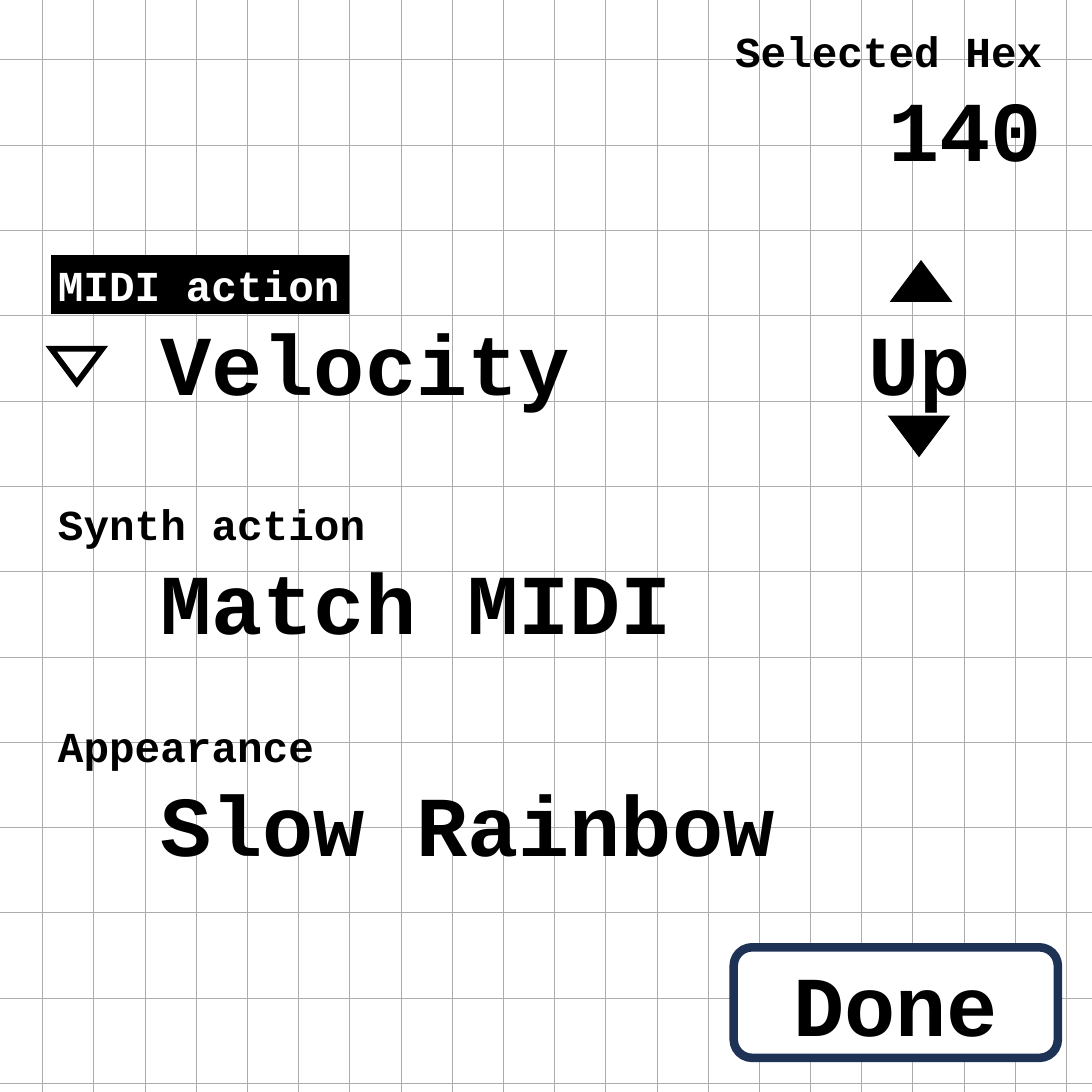
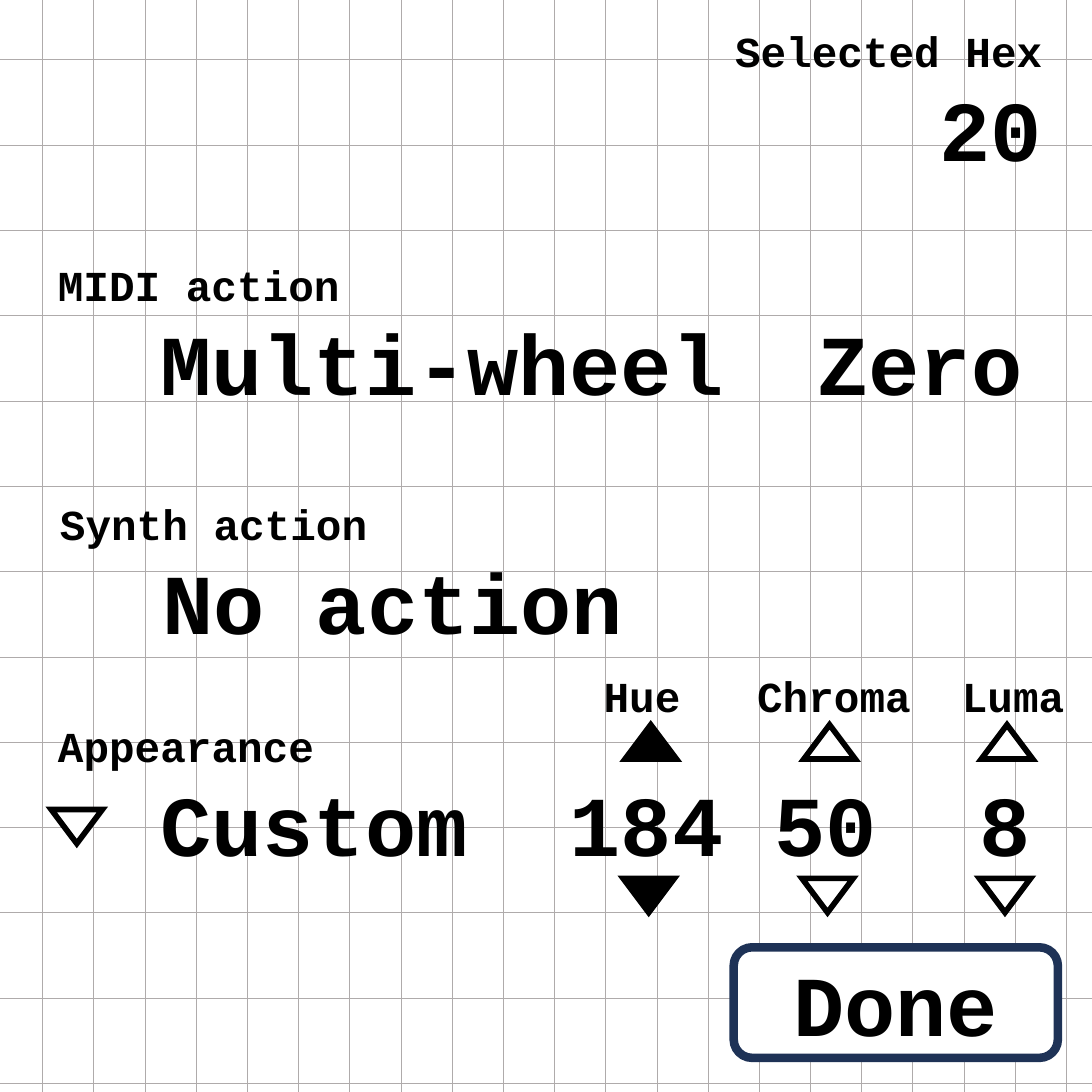
from dataclasses import dataclass

from lxml import etree
from pptx import Presentation
from pptx.dml.color import RGBColor
from pptx.enum import shapes, text
from pptx.oxml.ns import qn
from pptx.util import Inches, Pt


@dataclass(frozen=True)
class Theme:
    font: str = "Courier New"
    label: int = 45
    value: int = 90
    ink: RGBColor = RGBColor(0x00, 0x00, 0x00)
    paper: RGBColor = RGBColor(0xFF, 0xFF, 0xFF)
    button: RGBColor = RGBColor(0x1E, 0x32, 0x56)
    grid: RGBColor = RGBColor(0xAF, 0xAB, 0xAB)
    grid_line: float = 0.75
    arrow_line: int = 6
    button_line: int = 9


THEME = Theme()
SIDE = 16
CELL_WIDTH, CELL_HEIGHT = 0.75, 1.25
CHARACTER_RATIO = 0.6  # advance width of the monospaced font, in ems
TITLE_AT = (9.85, 0.31, 5.52, 2.37)
DONE_AT = (10.75, 13.88, 4.75, 1.62)
MIDI_LABEL_AT = (0.75, 3.74, 4.37, 0.86)
ARROW_SIZE = (0.75, 0.5)
STEPPER_SHIFT = (-0.03, 2.25)  # from the up arrow to the down arrow


def label(*cells):
    return THEME.label, cells


def value(*cells):
    return THEME.value, cells


# Each line of text holds (character column, word) cells.
# Steppers are (left, top, active); menus are (left, top).
SCREENS = [
    {
        "hex": "140",
        "midi_selected": True,
        "texts": [
            ((0.75, 4.5, 9.25, 1.62), [value((2, "Velocity"))]),
            ((11.88, 4.5, 2.75, 1.62), [value((1, "Up"))]),
            ((0.75, 7.25, 14.75, 2.37),
             [label((0, "Synth action")), value((2, "Match MIDI"))]),
            ((0.75, 10.5, 14.75, 2.37),
             [label((0, "Appearance")), value((2, "Slow Rainbow"))]),
        ],
        "menu": (0.75, 5.11),
        "steppers": [(13.12, 3.88, True)],
    },
    {
        "hex": "20",
        "midi_selected": False,
        "texts": [
            ((0.75, 4.5, 10.75, 1.62), [value((2, "Multi-wheel"))]),
            ((11.88, 4.5, 3.38, 1.62), [value((0, "Zero"))]),
            ((0.78, 7.24, 5.47, 0.86), [label((0, "Synth action"))]),
            ((0.78, 8, 10.75, 1.62), [value((2, "No action"))]),
            ((0.75, 10.5, 15.38, 2.37),
             [label((0, "Appearance")),
              value((2, "Custom"), (10, "184"), (14, "50"), (18, "8"))]),
            ((8.37, 9.76, 8.01, 0.86),
             [label((1, "Hue"), (7, "Chroma"), (15, "Luma"))]),
        ],
        "menu": (0.75, 11.86),
        "steppers": [(9.16, 10.62, True), (11.78, 10.62, False),
                     (14.38, 10.62, False)],
    },
]


def inches(lengths):
    return [Inches(length) for length in lengths]


def style(paragraph, size, color=THEME.ink, align=text.PP_ALIGN.LEFT):
    paragraph.alignment = align
    font = paragraph.font
    font.name, font.size, font.bold = THEME.font, Pt(size), True
    font.color.rgb = color


def set_tab_stops(paragraph, columns, size):
    stops = etree.Element(qn("a:tabLst"))
    for column in columns:
        position = Pt(column * size * CHARACTER_RATIO)
        etree.SubElement(stops, qn("a:tab"), pos=str(int(position)), algn="l")
    paragraph._p.get_or_add_pPr().insert(0, stops)


def fill_frame(frame, lines, color=THEME.ink, align=text.PP_ALIGN.LEFT):
    """Write one paragraph per line, with words tabbed to their columns."""
    frame.word_wrap = True
    frame.auto_size = text.MSO_AUTO_SIZE.SHAPE_TO_FIT_TEXT
    frame.vertical_anchor = text.MSO_ANCHOR.TOP
    for number, (size, cells) in enumerate(lines):
        paragraph = frame.add_paragraph() if number else frame.paragraphs[0]
        paragraph.text = "".join(
            ("\t" if column else "") + word for column, word in cells)
        style(paragraph, size, color, align)
        columns = [column for column, _ in cells if column]
        if columns:
            set_tab_stops(paragraph, columns, size)


def add_text(slide, at, lines, color=THEME.ink):
    box = slide.shapes.add_textbox(*inches(at))
    fill_frame(box.text_frame, lines, color)
    return box


def add_outlined(slide, preset, at, fill, line, width):
    shape = slide.shapes.add_shape(preset, *inches(at))
    shape.shadow.inherit = False
    shape.fill.solid()
    shape.fill.fore_color.rgb = fill
    shape.line.color.rgb = line
    shape.line.width = Pt(width)
    return shape


def add_arrow(slide, left, top, active, down):
    arrow = add_outlined(
        slide, shapes.MSO_SHAPE.ISOSCELES_TRIANGLE, (left, top, *ARROW_SIZE),
        THEME.ink if active else THEME.paper, THEME.ink, THEME.arrow_line)
    arrow.rotation = 180 if down else 0
    outline = arrow.element.spPr.find(qn("a:ln"))
    etree.SubElement(outline, qn("a:miter"), lim="800000")


def add_stepper(slide, left, top, active):
    right_shift, drop = STEPPER_SHIFT
    add_arrow(slide, left, top, active, down=False)
    add_arrow(slide, left + right_shift, top + drop, active, down=True)


def add_done_button(slide):
    button = add_outlined(
        slide, shapes.MSO_SHAPE.ROUNDED_RECTANGLE, DONE_AT,
        THEME.paper, THEME.button, THEME.button_line)
    button.text_frame.vertical_anchor = text.MSO_ANCHOR.MIDDLE
    paragraph = button.text_frame.paragraphs[0]
    paragraph.text = "Done"
    style(paragraph, THEME.value, align=text.PP_ALIGN.CENTER)


def add_grid(master, slide):
    """Draw the grid through a slide and move it behind the master's shapes."""
    columns = [5 / 8 + CELL_WIDTH * i for i in range(21)]
    rows = [7 / 8 + CELL_HEIGHT * i for i in range(13)]
    ends = [(x, SIDE, x, 0) for x in columns] + [(0, y, SIDE, y) for y in rows]
    for number, points in enumerate(ends):
        line = slide.shapes.add_connector(
            shapes.MSO_CONNECTOR.STRAIGHT, *inches(points))
        line.line.color.rgb = THEME.grid
        line.line.width = Pt(THEME.grid_line)
        etree.SubElement(line.element.spPr, qn("a:effectLst"))
        line.element.find(".//" + qn("p:cNvPr")).set("id", str(100 + number))
        master.shapes.element.insert(2 + number, line.element)


def add_screen(slide, screen):
    title = slide.shapes.title
    title.left, title.top, title.width, title.height = inches(TITLE_AT)
    fill_frame(title.text_frame,
               [label((0, "Selected Hex")), value((0, screen["hex"]))],
               align=text.PP_ALIGN.RIGHT)
    selected = screen["midi_selected"]
    midi_label = add_text(slide, MIDI_LABEL_AT, [label((0, "MIDI action"))],
                          THEME.paper if selected else THEME.ink)
    if selected:
        midi_label.fill.solid()
        midi_label.fill.fore_color.rgb = THEME.ink
    for at, lines in screen["texts"]:
        add_text(slide, at, lines)
    add_done_button(slide)
    add_arrow(slide, *screen["menu"], active=False, down=True)
    for stepper in screen["steppers"]:
        add_stepper(slide, *stepper)


def main():
    deck = Presentation()
    deck.slide_width = deck.slide_height = Inches(SIDE)
    title_only = deck.slide_layouts.get_by_name("Title Only")
    slides = [deck.slides.add_slide(title_only) for _ in SCREENS]
    add_grid(deck.slide_master, slides[0])
    for slide, screen in zip(slides, SCREENS):
        add_screen(slide, screen)
    deck.save("out.pptx")


if __name__ == "__main__":
    main()
